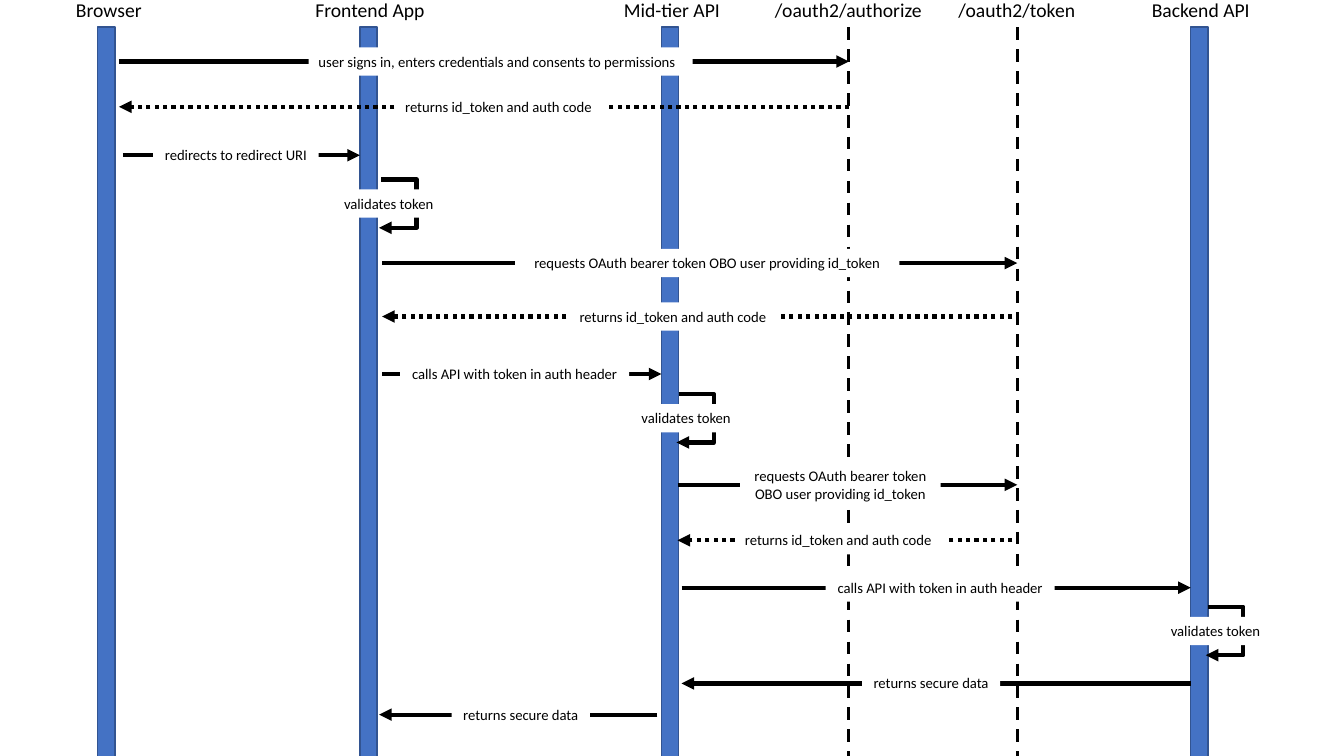
from lxml import etree
from pptx import Presentation
from pptx.dml.color import RGBColor
from pptx.enum.dml import MSO_LINE_DASH_STYLE as Dash
from pptx.enum.shapes import MSO_CONNECTOR as Connector, MSO_SHAPE as Shape
from pptx.enum.text import MSO_AUTO_SIZE as AutoSize, PP_ALIGN as Align
from pptx.oxml.ns import qn
from pptx.util import Inches, Pt

BLUE = RGBColor(0x44, 0x72, 0xC4)
DARK_BLUE = RGBColor(0x32, 0x54, 0x91)
BLACK = RGBColor(0, 0, 0)
WHITE = RGBColor(255, 255, 255)

BAR_TOP, BAR_WIDTH, BAR_HEIGHT = 0.27, 0.17, 11.3
HEADING_TOP, HEADING_HEIGHT = -0.07, 0.34
LABEL_HEIGHT, TALL_LABEL_HEIGHT = 0.28, 0.45
SELF_CALL_HEIGHT = 0.48

SIGN_IN = "user signs in, enters credentials and consents to permissions"
AUTH_CODE = "returns id_token and auth code"
REQUEST_TOKEN = "requests OAuth bearer token OBO user providing id_token"
CALL_API = "calls API with token in auth header"
SECURE_DATA = "returns secure data"
LEFT_ALIGNED = (SIGN_IN, AUTH_CODE)

presentation = Presentation()
presentation.slide_width = Inches(13.33)
presentation.slide_height = Inches(7.5)
slide = presentation.slides.add_slide(presentation.slide_layouts[6])


def add_text(text, left, top, width, height, size, alignment=Align.CENTER, wrap=False):
    box = slide.shapes.add_textbox(*map(Inches, (left, top, width, height)))
    frame = box.text_frame
    frame.word_wrap = wrap
    frame.auto_size = AutoSize.SHAPE_TO_FIT_TEXT
    paragraph = frame.paragraphs[0]
    paragraph.alignment = alignment
    run = paragraph.add_run()
    run.text = text
    run.font.color.rgb = BLACK
    for name, value in {"name": "Calibri", "size": Pt(size)}.items():
        setattr(run.font, name, value)
    return box


def add_line(kind, start, end, weight, dash=None, arrow=True):
    line = slide.shapes.add_connector(kind, *map(Inches, (*start, *end)))
    line.line.color.rgb = BLACK
    for name, value in {"width": Pt(weight), "dash_style": dash}.items():
        setattr(line.line, name, value)
    properties = line._element.spPr
    if arrow:
        etree.SubElement(properties.find(qn("a:ln")), qn("a:tailEnd"), type="triangle")
    etree.SubElement(properties, qn("a:effectLst"))
    return line


for bar_left in (0.97, 3.57, 6.56, 11.81):
    bar = slide.shapes.add_shape(
        Shape.RECTANGLE, *map(Inches, (bar_left, BAR_TOP, BAR_WIDTH, BAR_HEIGHT)))
    bar.shadow.inherit = False
    bar.fill.solid()
    bar.fill.fore_color.rgb = BLUE
    bar.line.color.rgb = DARK_BLUE
    bar.line.width = Pt(1)

for endpoint_x in (8.42, 10.09):
    add_line(Connector.STRAIGHT, (endpoint_x, BAR_TOP),
             (endpoint_x, BAR_TOP + BAR_HEIGHT), 2.25, Dash.DASH, arrow=False)

headings = [
    ("Browser", 0.65, 0.86),
    ("Frontend App", 3.02, 1.3),
    ("Mid-tier API", 6.08, 1.17),
    ("/oauth2/authorize", 7.58, 1.67),
    ("/oauth2/token", 9.4, 1.37),
    ("Backend API", 11.32, 1.18),
]
for text, left, width in headings:
    add_text(text, left, HEADING_TOP, width, HEADING_HEIGHT, 14)

messages = [
    (SIGN_IN, 1.18, 8.42, 0.61, 3.06, 3.81),
    (AUTH_CODE, 8.42, 1.18, 1.06, 3.92, 2.09),
    ("redirects to redirect URI", 1.22, 3.57, 1.54, 1.52, 1.64),
    (REQUEST_TOKEN, 3.79, 10.09, 2.61, 5.11, 3.81),
    (AUTH_CODE, 10.04, 3.79, 3.14, 5.65, 2.09),
    (CALL_API, 3.79, 6.56, 3.71, 3.97, 2.27),
    (REQUEST_TOKEN, 6.72, 10.09, 4.81, 7.34, 1.99),
    (AUTH_CODE, 10.04, 6.72, 5.36, 7.29, 2.09),
    (CALL_API, 6.76, 11.81, 5.83, 8.19, 2.27),
    (SECURE_DATA, 11.81, 6.76, 6.78, 8.55, 1.37),
    (SECURE_DATA, 6.52, 3.76, 7.09, 4.48, 1.37),
]
for text, start_x, end_x, y, left, width in messages:
    add_line(Connector.STRAIGHT, (start_x, y), (end_x, y), 3,
             Dash.ROUND_DOT if text == AUTH_CODE else None)
    wrap = text == REQUEST_TOKEN and width < 2
    height = TALL_LABEL_HEIGHT if wrap else LABEL_HEIGHT
    alignment = Align.LEFT if text in LEFT_ALIGNED else Align.CENTER
    label = add_text(text, left, y - height / 2, width, height, 10.5, alignment, wrap)
    label.fill.solid()
    label.fill.fore_color.rgb = WHITE

for start_x, y in ((3.78, 1.78), (6.73, 3.91), (11.98, 6.02)):
    elbow = add_line(Connector.ELBOW, (start_x, y),
                     (start_x - 0.02, y + SELF_CALL_HEIGHT), 3)
    adjustments = elbow._element.spPr.find(qn("a:prstGeom")).get_or_add_avLst()
    etree.SubElement(adjustments, qn("a:gd"), name="adj1", fmla="val -1750000")
    label = add_text("validates token", start_x - 0.49, y + 0.1, 1.13, LABEL_HEIGHT, 10.5)
    label.fill.solid()
    label.fill.fore_color.rgb = WHITE

presentation.save("out.pptx")
